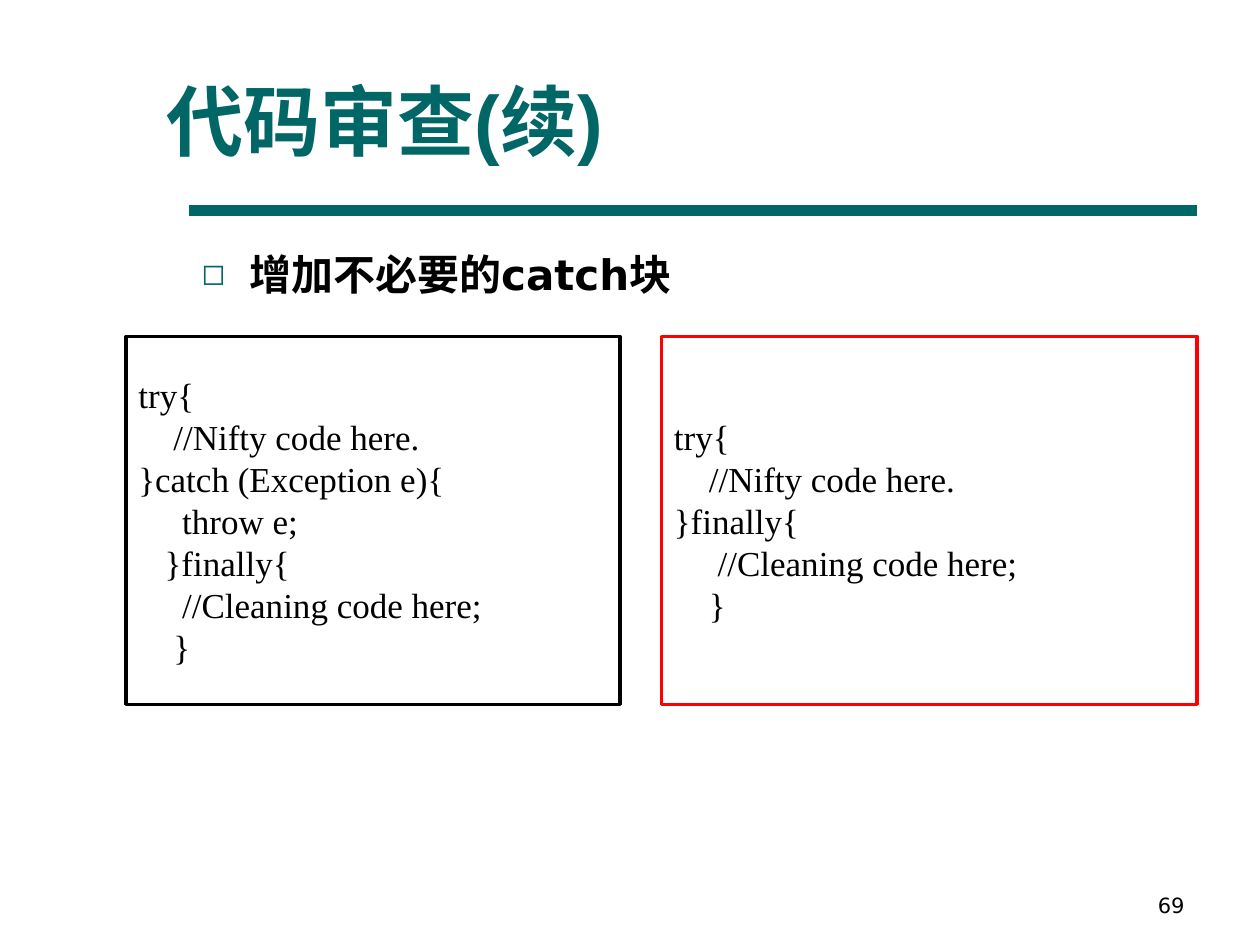
from lxml import etree
from pptx import Presentation
from pptx.dml.color import RGBColor
from pptx.enum.shapes import MSO_CONNECTOR, MSO_SHAPE
from pptx.enum.text import MSO_ANCHOR, PP_ALIGN
from pptx.oxml.ns import qn
from pptx.util import Inches, Pt

STRAIGHT = MSO_CONNECTOR.STRAIGHT
RECTANGLE = MSO_SHAPE.RECTANGLE
BOTTOM, MIDDLE, TOP = MSO_ANCHOR.BOTTOM, MSO_ANCHOR.MIDDLE, MSO_ANCHOR.TOP
LEFT, RIGHT = PP_ALIGN.LEFT, PP_ALIGN.RIGHT

COLORS = {"teal": "006666", "black": "000000", "white": "FFFFFF", "red": "FF0000"}

UNNEEDED_CATCH = [
    "try{",
    "    //Nifty code here.",
    "}catch (Exception e){",
    "     throw e;",
    "   }finally{",
    "     //Cleaning code here;",
    "    }",
]
WITHOUT_CATCH = [
    "try{",
    "    //Nifty code here.",
    "}finally{",
    "     //Cleaning code here;",
    "    }",
]


def color(name):
    return RGBColor.from_string(COLORS[name])


def set_frame(frame, anchor):
    frame.word_wrap = True
    frame.vertical_anchor = anchor
    frame.margin_left = frame.margin_right = Inches(0.1)
    frame.margin_top = frame.margin_bottom = Inches(0.05)


def add_span(para, text, font, size, shade="black", bold=False, align=LEFT):
    para.alignment = align
    span = para.add_run()
    span.text = text
    span.font.name = font
    span.font.size = Pt(size)
    span.font.bold = bold
    span.font.color.rgb = color(shade)


def add_text_box(page, box, anchor):
    frame = page.shapes.add_textbox(*map(Inches, box)).text_frame
    set_frame(frame, anchor)
    return frame.paragraphs[0]


def add_bullet(para, mark, shade, percent, indent):
    props = para._p.get_or_add_pPr()
    props.set("marL", str(Inches(indent)))
    props.set("indent", str(-Inches(indent)))
    bullet_color = etree.SubElement(props, qn("a:buClr"))
    etree.SubElement(bullet_color, qn("a:srgbClr"), val=COLORS[shade])
    etree.SubElement(props, qn("a:buSzPct"), val=str(percent * 1000))
    etree.SubElement(props, qn("a:buFont"), typeface="DejaVu Sans")
    etree.SubElement(props, qn("a:buChar"), char=mark)


def place_title(page, box, text):
    title = page.shapes.title
    title.left, title.top, title.width, title.height = map(Inches, box)
    set_frame(title.text_frame, BOTTOM)
    add_span(title.text_frame.paragraphs[0], text, "Arial", 44, "teal", bold=True)


def add_rule(page, left, top, width):
    ends = map(Inches, (left, top, left + width, top))
    rule = page.shapes.add_connector(STRAIGHT, *ends)
    rule.line.color.rgb = color("teal")
    rule.line.width = Pt(6)
    etree.SubElement(rule._element.spPr, qn("a:effectLst"))


def add_topic(page, box, text):
    para = add_text_box(page, box, TOP)
    add_bullet(para, "◻", "teal", 70, 0.38)
    add_span(para, text, "DejaVu Sans", 24, bold=True)


def add_code_panel(page, box, lines, border):
    panel = page.shapes.add_shape(RECTANGLE, *map(Inches, box))
    panel.shadow.inherit = False
    panel.fill.solid()
    panel.fill.fore_color.rgb = color("white")
    panel.line.color.rgb = color(border)
    panel.line.width = Pt(2)
    frame = panel.text_frame
    set_frame(frame, MIDDLE)
    for index, line in enumerate(lines):
        para = frame.add_paragraph() if index else frame.paragraphs[0]
        add_span(para, line, "Times New Roman", 20)


def add_page_number(page, box, number):
    para = add_text_box(page, box, BOTTOM)
    add_span(para, number, "DejaVu Sans", 12, align=RIGHT)


def main():
    deck = Presentation()
    deck.slide_width, deck.slide_height = Inches(10), Inches(7.5)
    page = deck.slides.add_slide(deck.slide_layouts[5])
    add_rule(page, 1.5, 1.67, 8)
    add_page_number(page, (7.17, 6.83, 2.33, 0.5), "69")
    place_title(page, (1.22, 0.12, 8.5, 1.25), "代码审查(续)")
    add_topic(page, (1.5, 1.92, 8, 4.5), "增加不必要的catch块")
    add_code_panel(page, (1, 2.67, 3.92, 2.92), UNNEEDED_CATCH, "black")
    add_code_panel(page, (5.25, 2.67, 4.25, 2.92), WITHOUT_CATCH, "red")
    deck.save("out.pptx")


if __name__ == "__main__":
    main()
